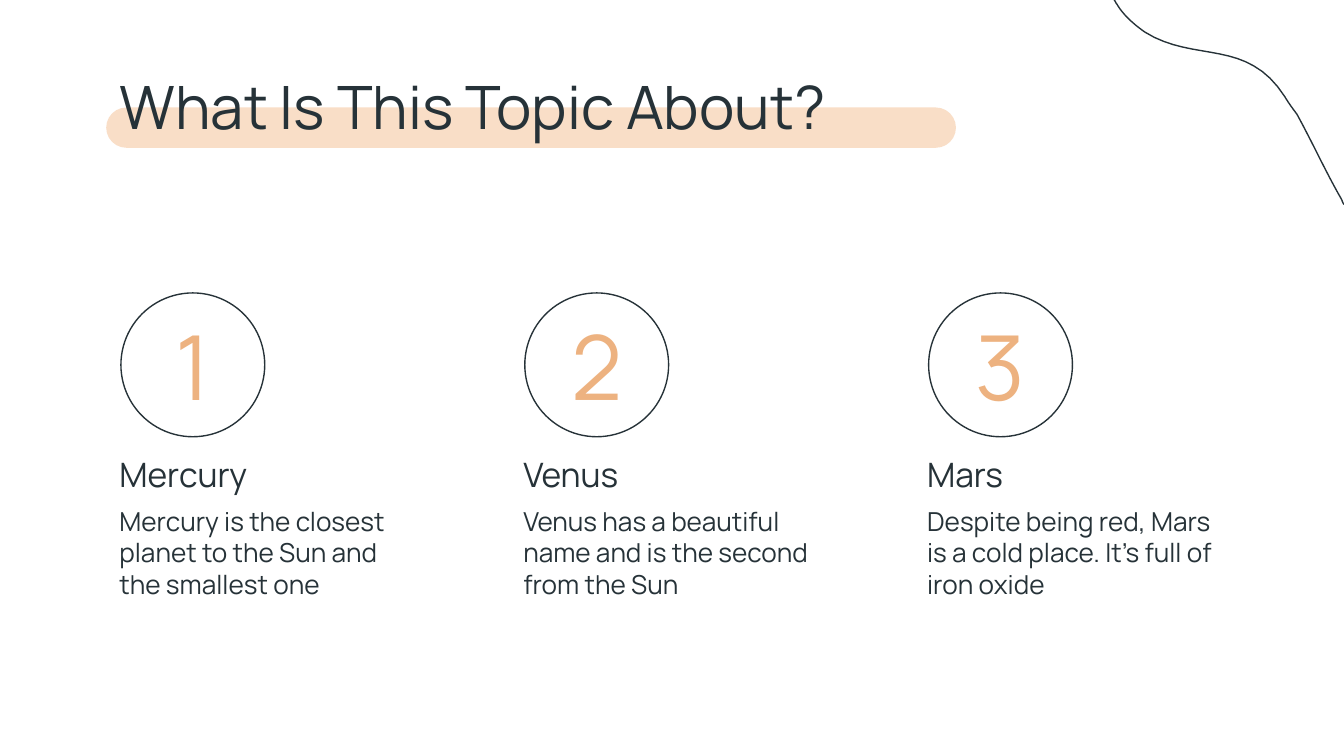
from dataclasses import dataclass

import pptx
import pptx.dml.color
import pptx.enum.shapes
import pptx.enum.text
import pptx.util

Inches, Pt = pptx.util.Inches, pptx.util.Pt
RGB = pptx.dml.color.RGBColor.from_string
SHAPE = pptx.enum.shapes.MSO_SHAPE
ALIGN = pptx.enum.text.PP_ALIGN
ANCHOR = pptx.enum.text.MSO_ANCHOR


@dataclass(frozen=True)
class Theme:
    font: str = "Manrope"
    ink: str = "263238"
    accent: str = "EDB280"
    highlight: str = "F9DEC7"
    title: int = 32
    number: int = 48
    heading: int = 18
    body: int = 14
    line: float = 0.75


THEME = Theme()
WIDTH = 10
HEIGHT = WIDTH * 9 / 16
LEFT, COLUMN_WIDTH = 0.79, 2.41
PLANETS = [
    ("Mercury", "Mercury is the closest planet to the Sun and the smallest one"),
    ("Venus", "Venus has a beautiful name and is the second from the Sun"),
    ("Mars", "Despite being red, Mars is a cold place. It’s full of iron oxide"),
]
COLUMN_STEP = (WIDTH - 2 * LEFT - COLUMN_WIDTH) / (len(PLANETS) - 1)
# Start point, then Bézier segments of two handles and an end point
CORNER_CURVE = [
    (8.29, 0), (8.3, 0.01), (8.3, 0.02), (8.31, 0.03),
    (8.35, 0.1), (8.42, 0.17), (8.52, 0.24),
    (8.89, 0.47), (9.28, 0.28), (9.56, 0.72),
    (9.59, 0.77), (9.62, 0.81), (9.65, 0.85),
    (9.77, 1.07), (9.87, 1.29), (9.98, 1.48),
    (9.99, 1.5), (9.99, 1.51), (10, 1.52),
]


def place(sp, box):
    sp.left, sp.top, sp.width, sp.height = (Inches(v) for v in box)


def write(sp, text, size, color, align=ALIGN.LEFT, anchor=ANCHOR.TOP):
    tf = sp.text_frame
    tf.text = text
    tf.word_wrap = True
    tf.auto_size = pptx.enum.text.MSO_AUTO_SIZE.NONE
    tf.vertical_anchor = anchor
    tf.margin_left = tf.margin_right = Inches(0.1)
    tf.margin_top = tf.margin_bottom = Inches(0.1)
    p = tf.paragraphs[0]
    p.alignment = align
    font = p.runs[0].font
    font.name, font.size = THEME.font, Pt(size)
    font.color.rgb = RGB(color)


def add_text(s, box, *args, **kwargs):
    sp = s.shapes.add_textbox(*(Inches(v) for v in box))
    write(sp, *args, **kwargs)


def outline(sp):
    sp.shadow.inherit = False
    sp.fill.background()
    sp.line.color.rgb = RGB(THEME.ink)
    sp.line.width = Pt(THEME.line)


def bezier_points(curve, steps=16):
    """Sample a chain of cubic Bézier segments, in EMU."""
    points = [curve[0]]
    for i in range(0, len(curve) - 1, 3):
        a, b, c, d = curve[i:i + 4]
        for n in range(1, steps + 1):
            t = n / steps
            u = 1 - t
            points.append(tuple(
                u**3 * a[k] + 3 * u * u * t * b[k] + 3 * u * t * t * c[k] + t**3 * d[k]
                for k in (0, 1)))
    return [(Inches(x), Inches(y)) for x, y in points]


def add_corner_curve(s):
    start, *rest = bezier_points(CORNER_CURVE)
    builder = s.shapes.build_freeform(*start)
    builder.add_line_segments(rest, close=False)
    outline(builder.convert_to_shape())


def add_title(s, text, box):
    """Title over a rounded highlight bar."""
    x, y, w, h = box
    sp = s.shapes.title
    place(sp, box)
    write(sp, text, THEME.title, THEME.ink)
    bar = s.shapes.add_shape(SHAPE.ROUNDED_RECTANGLE, 0, 0, 1, 1)
    place(bar, (x, y + 0.38, w * 0.75, 0.3))
    bar.adjustments[0] = 0.5
    bar.shadow.inherit = False
    bar.fill.solid()
    bar.fill.fore_color.rgb = RGB(THEME.highlight)
    bar.line.fill.background()
    sp.element.addprevious(bar.element)


def add_planet(s, number, heading, body, box):
    """Numbered circle above a heading and its description."""
    x, y, w, h = box
    size = 1.07
    circle = s.shapes.add_shape(SHAPE.OVAL, 0, 0, 1, 1)
    place(circle, (x + 0.11, y, size, size))
    outline(circle)
    add_text(s, (x + 0.16, y + 0.15, 0.97, 0.77), str(number), THEME.number,
             THEME.accent, align=ALIGN.CENTER, anchor=ANCHOR.MIDDLE)
    add_text(s, (x, y + 1.1, w, 0.41), heading, THEME.heading, THEME.ink)
    add_text(s, (x, y + 1.48, w, h - 1.48), body, THEME.body, THEME.ink)


def main():
    prs = pptx.Presentation()
    prs.slide_width, prs.slide_height = Inches(WIDTH), Inches(HEIGHT)
    s = prs.slides.add_slide(prs.slide_layouts[5])
    add_corner_curve(s)
    add_title(s, "What Is This Topic About?", (LEFT, 0.42, 8.43, 0.67))
    for i, (heading, body) in enumerate(PLANETS):
        add_planet(s, i + 1, heading, body,
                   (LEFT + i * COLUMN_STEP, 2.18, COLUMN_WIDTH, 2.41))
    prs.save("out.pptx")


if __name__ == "__main__":
    main()
